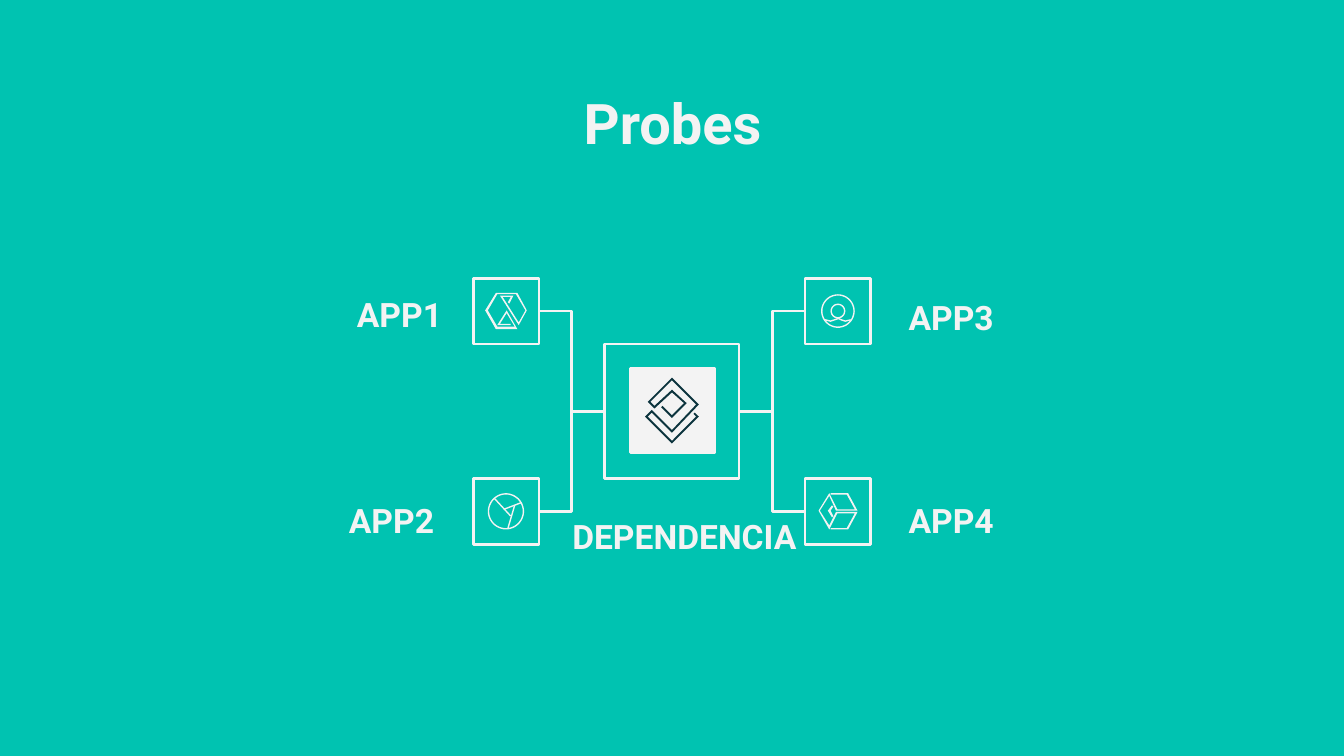
import math

import lxml.etree
import pptx
import pptx.dml.color
import pptx.enum.shapes
import pptx.enum.text
import pptx.oxml.ns
import pptx.util

PX = 9144
TEAL = pptx.dml.color.RGBColor(0x00, 0xC3, 0xB1)
PALE = pptx.dml.color.RGBColor(0xF3, 0xF3, 0xF3)
NAVY = pptx.dml.color.RGBColor(0x0C, 0x34, 0x3D)
RECTANGLE = pptx.enum.shapes.MSO_SHAPE.RECTANGLE
ELBOW = pptx.enum.shapes.MSO_CONNECTOR.ELBOW
LEFT = pptx.enum.text.PP_ALIGN.LEFT
CENTER = pptx.enum.text.PP_ALIGN.CENTER
RIGHT = pptx.enum.text.PP_ALIGN.RIGHT
TOP = pptx.enum.text.MSO_ANCHOR.TOP
MIDDLE = pptx.enum.text.MSO_ANCHOR.MIDDLE
TILE = 49
HUB = (450, 256, 100, 100)

EMBLEM = [[
    (20, 0), (2, 18), (7, 23), (20, 11), (29, 19), (20, 28), (13, 21), (12, 22),
    (20, 30), (31, 19), (20, 9), (7, 21), (4, 18), (20, 2), (38, 20), (20, 39),
    (5, 24), (0, 29), (20, 49), (40, 29), (37, 26), (36, 27), (38, 29), (20, 47),
    (2, 29), (5, 26), (20, 41), (40, 20)]]
HOURGLASS = [[
    (17, 11), (9, 24), (17, 38), (33, 38), (25, 24), (18, 35), (28, 35), (28, 34),
    (20, 34), (25, 26), (31, 36), (18, 36), (11, 24), (18, 12), (32, 12), (39, 24),
    (34, 33), (22, 14), (28, 14), (26, 18), (27, 19), (30, 13), (20, 13), (34, 35),
    (40, 24), (33, 11)]]
CUBE = [
    [(32, 11), (19, 11), (19, 12), (31, 12), (37, 23), (24, 23), (18, 11), (10, 24),
     (18, 38), (24, 26), (37, 26), (31, 37), (19, 37), (19, 38), (32, 38), (39, 25),
     (23, 25), (18, 35), (11, 24), (18, 13), (23, 24), (39, 24)],
    [(20, 20), (17, 24), (20, 29), (21, 28), (19, 24), (21, 21)]]


def circle(radius):
    """Return the points of a circle around the middle of a tile."""
    turns = [math.tau * step / 48 for step in range(49)]
    return [(TILE / 2 + radius * math.cos(turn), TILE / 2 + radius * math.sin(turn))
            for turn in turns]


PIE = [circle(13), [(16, 15), (28, 28)], [(23, 23), (36, 18)], [(31, 20), (26, 37)]]
PERSON = [circle(12), circle(5),
          [(15, 31), (19, 32), (22, 31), (25, 30), (27, 31), (30, 32), (34, 31)]]


def px(*lengths):
    """Turn px lengths into EMU."""
    return [round(length * PX) for length in lengths]


def add_square(page, box, filled=False):
    """Add a pale-edged square."""
    square = page.shapes.add_shape(RECTANGLE, *px(*box))
    square.shadow.inherit = False
    square.line.color.rgb = PALE
    square.line.width = pptx.util.Pt(1.5)
    if filled:
        square.fill.solid()
        square.fill.fore_color.rgb = PALE
    else:
        square.fill.background()


def add_icon(page, corner, contours, color, filled):
    """Add an icon of one or more contours, filled or stroked."""
    first, *others = [[px(*point) for point in contour] for contour in contours]
    builder = page.shapes.build_freeform(*first[0], scale=1.0)
    builder.add_line_segments(first[1:], close=filled)
    for contour in others:
        builder.move_to(*contour[0])
        builder.add_line_segments(contour[1:], close=filled)
    icon = builder.convert_to_shape(*px(*corner))
    icon.shadow.inherit = False
    if filled:
        icon.fill.solid()
        icon.fill.fore_color.rgb = color
        icon.line.fill.background()
    else:
        icon.fill.background()
        icon.line.color.rgb = color
        icon.line.width = pptx.util.Pt(0.75)


def set_text(holder, box, text, size, align, anchor=TOP, after=16):
    """Place a text holder and fill it with one bold pale line."""
    holder.left, holder.top, holder.width, holder.height = px(*box)
    frame = holder.text_frame
    frame.word_wrap = True
    frame.auto_size = pptx.enum.text.MSO_AUTO_SIZE.NONE
    frame.vertical_anchor = anchor
    frame.margin_left = frame.margin_right = px(10)[0]
    frame.margin_top = frame.margin_bottom = px(10)[0]
    para = frame.paragraphs[0]
    para.text = text
    para.alignment = align
    para.space_before = pptx.util.Pt(0)
    para.space_after = pptx.util.Pt(after)
    para.font.name = "Roboto"
    para.font.size = pptx.util.Pt(size)
    para.font.bold = True
    para.font.color.rgb = PALE
    properties = para._p.get_or_add_pPr()
    properties.set("marL", "0")
    properties.set("indent", "0")
    bullet = lxml.etree.Element(pptx.oxml.ns.qn("a:buNone"))
    properties.insert_element_before(bullet, "a:tabLst", "a:defRPr", "a:extLst")


def add_link(page, start, end):
    """Add an elbow connector between two points."""
    link = page.shapes.add_connector(ELBOW, *px(*start, *end))
    link.line.color.rgb = PALE
    link.line.width = pptx.util.Pt(1.5)
    lxml.etree.SubElement(link._element.spPr, pptx.oxml.ns.qn("a:effectLst"))


def add_hub(page, box):
    """Add the shared dependency with its emblem and caption."""
    left, top, width, height = box
    add_square(page, box)
    add_square(page, (left + 19, top + 18, 63, 63), filled=True)
    add_icon(page, (left + 30, top + 25), EMBLEM, NAVY, True)
    caption = page.shapes.add_textbox(0, 0, 0, 0)
    set_text(caption, (left - 34, top + 118, 196, 40), "DEPENDENCIA", 18, LEFT)


def add_app(page, corner, contours, filled):
    """Add an app tile linked to the hub."""
    left, top = corner
    add_square(page, (left, top, TILE, TILE))
    add_icon(page, corner, contours, PALE, filled)
    hub_left, hub_top, hub_width, hub_height = HUB
    middle = top + TILE / 2
    hub_middle = hub_top + hub_height / 2
    if left < hub_left:
        add_link(page, (left + TILE, middle), (hub_left, hub_middle))
    else:
        add_link(page, (left, middle), (hub_left + hub_width, hub_middle))


def main():
    """Build and save the deck."""
    deck = pptx.Presentation()
    deck.slide_width, deck.slide_height = px(1000, 562.5)
    page = deck.slides.add_slide(deck.slide_layouts.get_by_name("Comparison"))
    page.background.fill.solid()
    page.background.fill.fore_color.rgb = TEAL
    set_text(page.shapes.title, (79, 56, 843, 63), "Probes", 30, CENTER, after=0)
    add_hub(page, HUB)
    apps = [
        ("APP1", (352, 207), HOURGLASS, True, (204, 214, 135, 40), RIGHT, MIDDLE),
        ("APP2", (352, 356), PIE, False, (89, 362, 244, 40), RIGHT, TOP),
        ("APP3", (599, 207), PERSON, False, (666, 216, 240, 40), LEFT, MIDDLE),
        ("APP4", (599, 356), CUBE, True, (666, 362, 240, 40), LEFT, TOP),
    ]
    for index, (name, corner, contours, filled, box, align, anchor) in enumerate(apps, 1):
        add_app(page, corner, contours, filled)
        set_text(page.placeholders[index], box, name, 18, align, anchor)
    deck.save("out.pptx")


if __name__ == "__main__":
    main()
